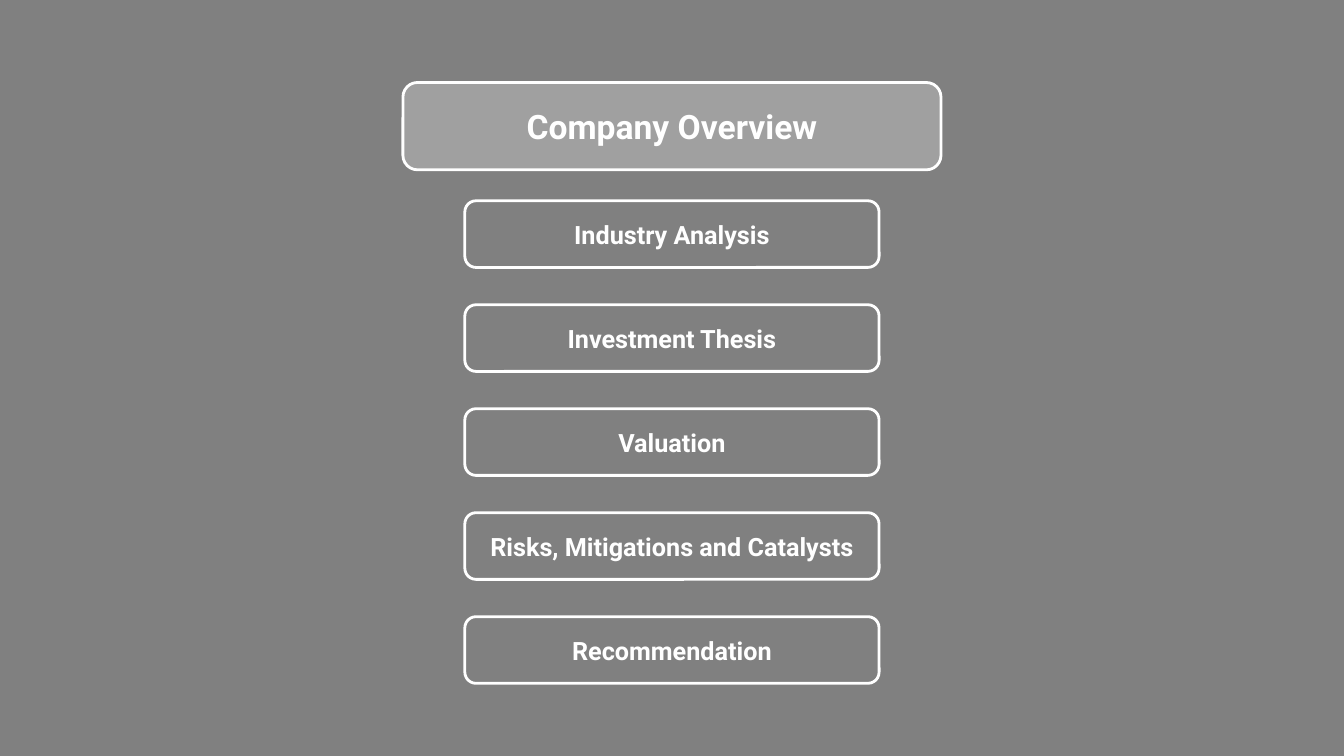
from lxml import etree
from pptx import Presentation
from pptx.dml.color import RGBColor
from pptx.enum.shapes import MSO_SHAPE
from pptx.enum.text import MSO_ANCHOR, PP_ALIGN
from pptx.oxml.ns import qn
from pptx.util import Cm, Pt

RECT = MSO_SHAPE.RECTANGLE
ROUNDED = MSO_SHAPE.ROUNDED_RECTANGLE
MIDDLE = MSO_ANCHOR.MIDDLE
CENTER = PP_ALIGN.CENTER

WHITE = RGBColor(0xFF, 0xFF, 0xFF)
GRAY = RGBColor(0x80, 0x80, 0x80)
FONT = "Roboto"

SLIDE_W, SLIDE_H = 33.87, 19.05
CURRENT = "Company Overview"
SECTIONS = [
    "Industry Analysis",
    "Investment Thesis",
    "Valuation",
    "Risks, Mitigations and Catalysts",
    "Recommendation",
]
SECTION_TOP, SECTION_PITCH = 5.06, 2.62


def add_panel(slide, shape_type, top, width, height, line_color, line_width):
    left = (SLIDE_W - width) / 2
    sp = slide.shapes.add_shape(shape_type, Cm(left), Cm(top), Cm(width), Cm(height))
    sp.shadow.inherit = False
    sp.fill.background()
    sp.line.color.rgb = line_color
    sp.line.width = Pt(line_width)
    return sp


def set_fill(sp, color, opacity=100):
    sp.fill.solid()
    sp.fill.fore_color.rgb = color
    if opacity < 100:
        clr = sp.fill._xPr.find(qn("a:solidFill"))[0]
        etree.SubElement(clr, qn("a:alpha"), val=str(opacity * 1000))


def add_agenda_box(slide, text, top, width, height, size):
    sp = add_panel(slide, ROUNDED, top, width, height, WHITE, 2)
    tf = sp.text_frame
    tf.word_wrap = True
    tf.vertical_anchor = MIDDLE
    tf.text = text
    p = tf.paragraphs[0]
    p.alignment = CENTER
    font = p.runs[0].font
    font.name = FONT
    font.size = Pt(size)
    font.bold = True
    font.color.rgb = WHITE
    return sp


def main():
    prs = Presentation()
    prs.slide_width, prs.slide_height = Cm(SLIDE_W), Cm(SLIDE_H)
    slide = prs.slides.add_slide(prs.slide_layouts[6])

    backdrop = add_panel(slide, RECT, 0, SLIDE_W, SLIDE_H, GRAY, 1)
    set_fill(backdrop, GRAY)

    current = add_agenda_box(slide, CURRENT, 2.08, 13.56, 2.2, 24)
    set_fill(current, WHITE, opacity=26)

    for i, section in enumerate(SECTIONS):
        add_agenda_box(slide, section, SECTION_TOP + i * SECTION_PITCH, 10.44, 1.68, 18)

    prs.save("out.pptx")


if __name__ == "__main__":
    main()
